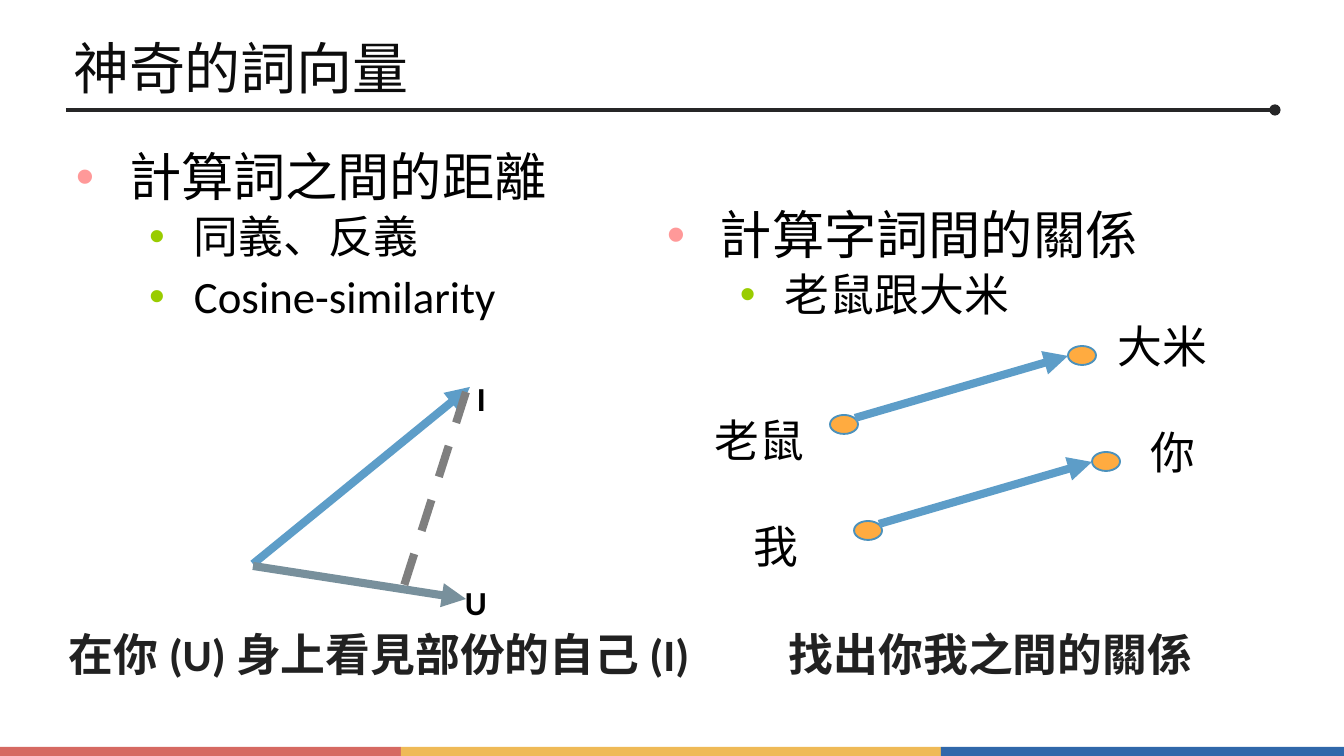
from dataclasses import dataclass
from typing import Optional

from lxml.etree import SubElement
from pptx import Presentation
from pptx.dml.color import RGBColor
from pptx.enum.dml import MSO_LINE
from pptx.enum.shapes import MSO_CONNECTOR, MSO_SHAPE
from pptx.enum.text import MSO_ANCHOR, MSO_AUTO_SIZE, PP_ALIGN
from pptx.oxml.ns import qn
from pptx.util import Emu, Pt

SCALE = 914400 / 134.4
WIDTH, HEIGHT = 1344, 756
FONT = "Calibri"

BLACK = RGBColor(0x00, 0x00, 0x00)
INK = RGBColor(0x0C, 0x0C, 0x0C)
DARK = RGBColor(0x21, 0x21, 0x21)
RULE = RGBColor(0x26, 0x26, 0x27)
BLUE = RGBColor(0x5D, 0x9D, 0xC8)
SLATE = RGBColor(0x78, 0x90, 0x9C)
GREY = RGBColor(0x7F, 0x7F, 0x7F)
AMBER = RGBColor(0xFF, 0xAB, 0x40)
EDGE = RGBColor(0x4B, 0x91, 0xBC)
RED = RGBColor(0xD6, 0x69, 0x62)
GOLD = RGBColor(0xEF, 0xBA, 0x57)
NAVY = RGBColor(0x30, 0x68, 0xAA)
PINK = RGBColor(0xFF, 0x99, 0x99)
LIME = RGBColor(0x99, 0xCC, 0x00)


@dataclass
class Box:
    """A place on the slide, in pixels."""
    left: int
    top: int
    width: int
    height: int


@dataclass
class Label:
    """A free piece of text."""
    text: str
    box: Box
    size: int = 24
    color: RGBColor = BLACK
    bold: bool = False
    align: PP_ALIGN = PP_ALIGN.LEFT


@dataclass
class Line:
    """A straight line with an optional end and dash."""
    start: tuple[int, int]
    end: tuple[int, int]
    color: RGBColor
    width: float = 4.33
    tip: Optional[str] = "triangle"
    dash: bool = False


@dataclass
class Item:
    """A list entry."""
    text: str
    level: int = 0
    before: int = 0


@dataclass
class Style:
    """The look of one list level; indents in pixels."""
    size: int
    left: int
    hang: int
    bullet: RGBColor


STYLES = [Style(28, 53, 53, PINK), Style(24, 118, 45, LIME)]


def px(count: float) -> Emu:
    """Turn pixels into EMU."""
    return Emu(round(count * SCALE))


def place(shape, box: Box) -> None:
    """Move and size a shape."""
    shape.left, shape.top = px(box.left), px(box.top)
    shape.width, shape.height = px(box.width), px(box.height)


def set_frame(frame, side: int, edge: int) -> None:
    """Set wrapping and insets of a text frame."""
    frame.word_wrap = True
    frame.auto_size = MSO_AUTO_SIZE.NONE
    frame.margin_left = frame.margin_right = px(side)
    frame.margin_top = frame.margin_bottom = px(edge)


def add_run(para, text: str, size: int, color: RGBColor, bold: bool = False) -> None:
    """Add one formatted run."""
    run = para.add_run()
    run.text = text
    run.font.name, run.font.size, run.font.bold = FONT, Pt(size), bold
    run.font.color.rgb = color


def add_label(slide, label: Label) -> None:
    """Draw a text box."""
    shape = slide.shapes.add_textbox(0, 0, 0, 0)
    place(shape, label.box)
    set_frame(shape.text_frame, 13, 7)
    para = shape.text_frame.paragraphs[0]
    para.alignment = label.align
    add_run(para, label.text, label.size, label.color, label.bold)


def add_block(slide, kind: MSO_SHAPE, box: Box, fill: RGBColor,
              edge: Optional[RGBColor] = None) -> None:
    """Draw a filled shape, outlined if an edge is given."""
    shape = slide.shapes.add_shape(kind, 0, 0, 0, 0)
    place(shape, box)
    shape.shadow.inherit = False
    shape.fill.solid()
    shape.fill.fore_color.rgb = fill
    if edge is None:
        shape.line.fill.background()
    else:
        shape.line.color.rgb = edge
        shape.line.width = Pt(1)


def add_line(slide, line: Line) -> None:
    """Draw a connector."""
    shape = slide.shapes.add_connector(
        MSO_CONNECTOR.STRAIGHT, *map(px, line.start + line.end))
    shape.line.color.rgb = line.color
    shape.line.width = Pt(line.width)
    if line.dash:
        shape.line.dash_style = MSO_LINE.DASH
    if line.tip:
        SubElement(shape.line._get_or_add_ln(), qn("a:tailEnd"), type=line.tip)
    SubElement(shape._element.spPr, qn("a:effectLst"))


def fill_title(shape, text: str, box: Box) -> None:
    """Fill the title placeholder."""
    place(shape, box)
    frame = shape.text_frame
    set_frame(frame, 4, 4)
    frame.vertical_anchor = MSO_ANCHOR.MIDDLE
    para = frame.paragraphs[0]
    para.alignment, para.line_spacing = PP_ALIGN.LEFT, 0.8
    add_run(para, text, 30, INK)


def fill_list(shape, items: list[Item], box: Box) -> None:
    """Fill a body placeholder with bulleted items."""
    place(shape, box)
    frame = shape.text_frame
    set_frame(frame, 7, 7)
    for rank, item in enumerate(items):
        para = frame.add_paragraph() if rank else frame.paragraphs[0]
        style = STYLES[item.level]
        para.level, para.line_spacing = item.level, 0.9
        para.space_before, para.space_after = Pt(item.before), Pt(0)
        props = para._p.get_or_add_pPr()
        props.set("marL", str(px(style.left)))
        props.set("indent", str(-px(style.hang)))
        tint = SubElement(props, qn("a:buClr"))
        SubElement(tint, qn("a:srgbClr"), val=str(style.bullet))
        SubElement(props, qn("a:buFont"), typeface="Arial")
        SubElement(props, qn("a:buChar"), char="•")
        add_run(para, item.text, style.size, BLACK)


def add_pair(slide, left: int, top: int) -> None:
    """Draw two dots joined by an arrow; the first dot is at left, top."""
    for right, down in ((0, 0), (238, -69)):
        box = Box(left + right, top + down, 28, 19)
        add_block(slide, MSO_SHAPE.OVAL, box, AMBER, EDGE)
    add_line(slide, Line((left + 25, top + 3), (left + 238, top - 59), BLUE))


def main() -> None:
    """Build the slide."""
    deck = Presentation()
    deck.slide_width, deck.slide_height = px(WIDTH), px(HEIGHT)
    slide = deck.slides.add_slide(deck.slide_layouts[3])
    title, near, link = slide.placeholders

    stops = [0, 401, 941, WIDTH]
    for left, right, color in zip(stops, stops[1:], (RED, GOLD, NAVY)):
        add_block(slide, MSO_SHAPE.RECTANGLE, Box(left, 747, right - left, 9), color)

    fill_title(title, "神奇的詞向量", Box(69, 32, 860, 83))
    fill_list(near, [Item("計算詞之間的距離"), Item("同義、反義", 1, 4),
                     Item("Cosine-similarity", 1, 6)], Box(69, 144, 499, 569))
    fill_list(link, [Item("計算字詞間的關係"), Item("老鼠跟大米", 1, 4)],
              Box(660, 202, 524, 333))

    for line in (
        Line((66, 110), (1275, 110), RULE, 2, "oval"),
        Line((253, 564), (470, 387), BLUE),
        Line((253, 566), (466, 599), SLATE),
        Line((466, 392), (403, 589), GREY, tip=None, dash=True),
    ):
        add_line(slide, line)

    for left, top in ((830, 415), (854, 521)):
        add_pair(slide, left, top)

    mid = PP_ALIGN.CENTER
    for label in (
        Label("I", Box(464, 371, 93, 40), 18, bold=True),
        Label("U", Box(452, 575, 93, 40), 18, bold=True),
        Label("老鼠", Box(702, 406, 120, 51)),
        Label("大米", Box(1105, 312, 125, 51)),
        Label("我", Box(715, 512, 121, 51), align=mid),
        Label("你", Box(1107, 418, 132, 51), align=mid),
        Label("在你 (U) 身上看見部份的自己 (I)", Box(56, 620, 660, 51), 24, DARK, True),
        Label("找出你我之間的關係", Box(750, 620, 481, 51), 24, DARK, True, mid),
    ):
        add_label(slide, label)

    deck.save("out.pptx")


main()
